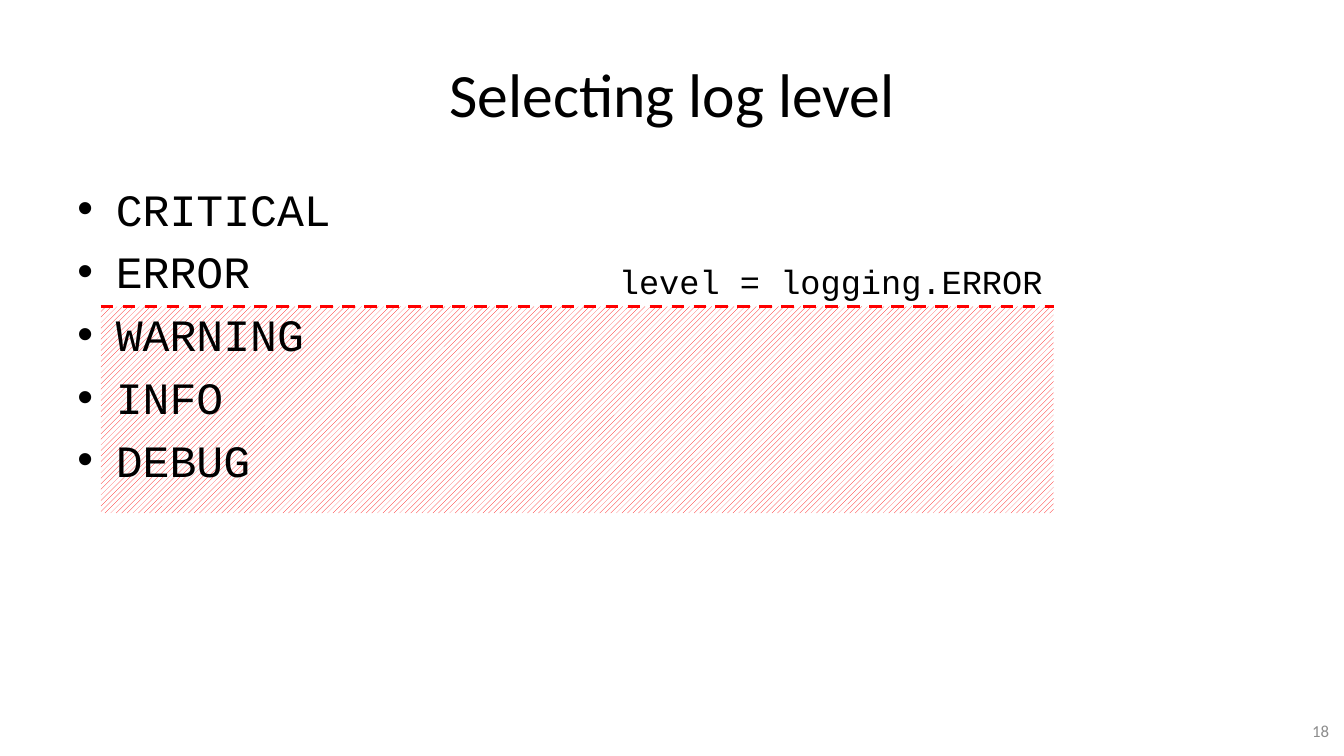
import pptx
import pptx.util
import pptx.dml.color
import pptx.enum.dml
import pptx.enum.shapes
import pptx.enum.text
import pptx.oxml.ns
import lxml.etree

Inches = pptx.util.Inches
Pt = pptx.util.Pt
Align = pptx.enum.text.PP_ALIGN
Anchor = pptx.enum.text.MSO_ANCHOR
BLACK = pptx.dml.color.RGBColor(0x00, 0x00, 0x00)
WHITE = pptx.dml.color.RGBColor(0xFF, 0xFF, 0xFF)
RED = pptx.dml.color.RGBColor(0xFF, 0x00, 0x00)
GRAY = pptx.dml.color.RGBColor(0x8C, 0x8C, 0x8C)
LEVELS = ["CRITICAL", "ERROR", "WARNING", "INFO", "DEBUG"]

presentation = pptx.Presentation()
presentation.slide_width = Inches(13.33)
presentation.slide_height = Inches(7.5)
slide = presentation.slides.add_slide(presentation.slide_layouts[6])


def add_text(lines, box, size, font, color, align=Align.LEFT, anchor=Anchor.TOP, wrap=True):
    shape = slide.shapes.add_textbox(*[Inches(length) for length in box])
    frame = shape.text_frame
    frame.text = "\n".join(lines)
    frame.word_wrap = wrap
    frame.vertical_anchor = anchor
    for paragraph in frame.paragraphs:
        paragraph.alignment = align
        run = paragraph.runs[0]
        run.font.size = Pt(size)
        run.font.name = font
        run.font.color.rgb = color
    return shape


# Hatched area of suppressed levels, with the threshold line on its top edge
left, top, width, height = 1, 3.04, 9.45, 2.05
area = slide.shapes.add_shape(
    pptx.enum.shapes.MSO_SHAPE.RECTANGLE,
    Inches(left), Inches(top), Inches(width), Inches(height))
area.shadow.inherit = False
area.line.fill.background()
area.fill.patterned()
area.fill.pattern = pptx.enum.dml.MSO_PATTERN.WIDE_UPWARD_DIAGONAL
area.fill.fore_color.rgb = RED
area.fill.back_color.rgb = WHITE

threshold = slide.shapes.add_connector(
    pptx.enum.shapes.MSO_CONNECTOR.STRAIGHT,
    Inches(left), Inches(top), Inches(left + width), Inches(top))
threshold.line.color.rgb = RED
threshold.line.width = Pt(2.25)
threshold.line.dash_style = pptx.enum.dml.MSO_LINE.DASH
lxml.etree.SubElement(threshold._element.spPr, pptx.oxml.ns.qn("a:effectLst"))

setting = add_text(["level = logging.ERROR"], (6.04, top - 0.5, 4.44, 0.5),
                   24, "Courier New", BLACK, wrap=False)
setting.text_frame.auto_size = pptx.enum.text.MSO_AUTO_SIZE.SHAPE_TO_FIT_TEXT

# Title
add_text(["Selecting log level"], (0.67, 0.3, 12, 1.25), 44, "Calibri", BLACK,
         Align.CENTER, Anchor.MIDDLE)

# Bulleted log levels
levels = add_text(LEVELS, (0.67, 1.75, 12, 4.95), 32, "Courier New", BLACK)
for paragraph in levels.text_frame.paragraphs:
    properties = paragraph._p.get_or_add_pPr()
    properties.set("marL", str(Inches(0.38)))
    properties.set("indent", str(-Inches(0.38)))
    spacing = lxml.etree.SubElement(properties, pptx.oxml.ns.qn("a:spcBef"))
    lxml.etree.SubElement(spacing, pptx.oxml.ns.qn("a:spcPct"), val="20000")
    lxml.etree.SubElement(properties, pptx.oxml.ns.qn("a:buFont"), typeface="Arial")
    lxml.etree.SubElement(properties, pptx.oxml.ns.qn("a:buChar"), char="•")

# Slide number
add_text(["18"], (10.17, 7.05, 3.11, 0.4), 12, "Calibri", GRAY, Align.RIGHT, Anchor.MIDDLE)

presentation.save("out.pptx")
